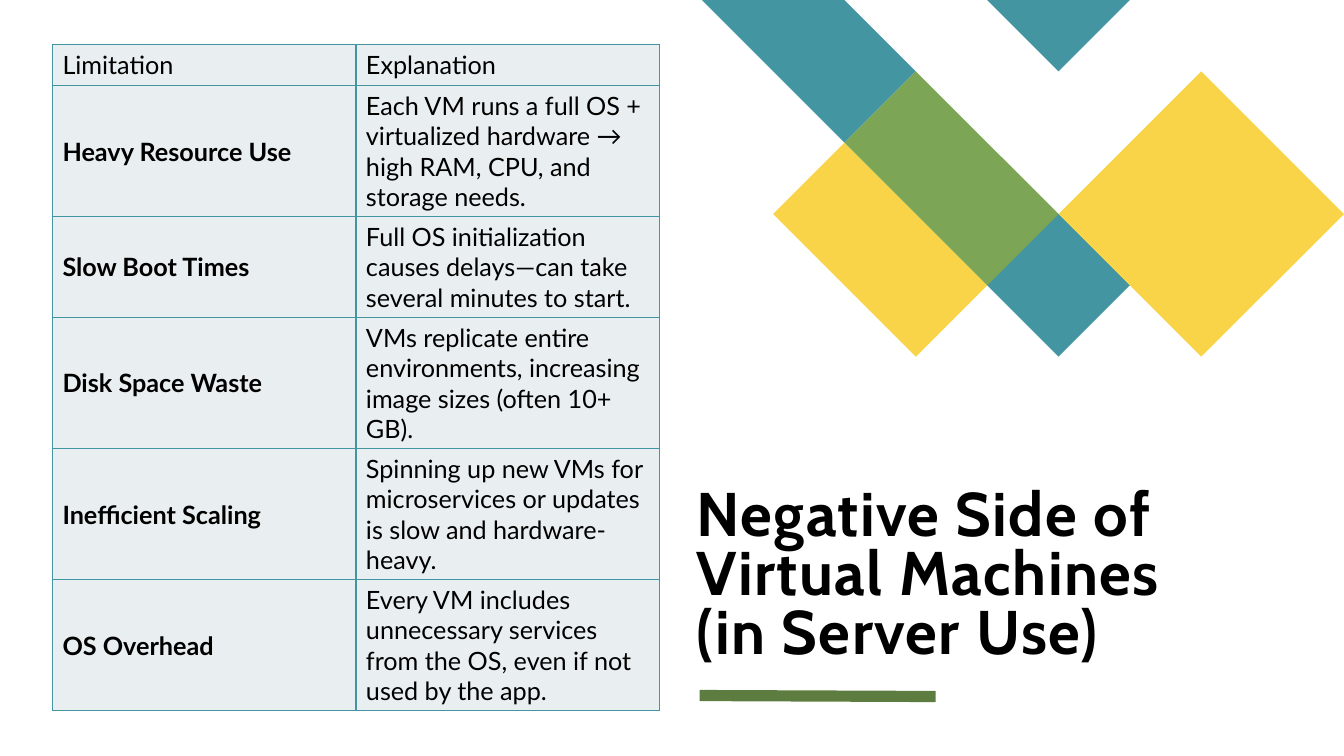
import pptx
import pptx.dml.color
import pptx.enum.shapes
import pptx.enum.text
import pptx.oxml
import pptx.oxml.ns
import pptx.util
from lxml import etree

Inches = pptx.util.Inches
Pt = pptx.util.Pt
RGBColor = pptx.dml.color.RGBColor
ANCHOR = pptx.enum.text.MSO_ANCHOR
qn = pptx.oxml.ns.qn

TEAL = RGBColor(0x44, 0x95, 0xA2)
YELLOW = RGBColor(0xF9, 0xD4, 0x48)
LEAF = RGBColor(0x7C, 0xA6, 0x55)
MOSS = RGBColor(0x5D, 0x7D, 0x40)
MIST = RGBColor(0xE9, 0xEF, 0xF0)
BLACK = RGBColor(0, 0, 0)

# Tile corners as (column, row) on the diagonal grid
GRID_LEFT = Inches(6.96)
GRID_STEP = Inches(6.37) / 9
TILES = [
    (TEAL, [(3, 1), (2, 0), (0, 0), (2, 2)]),
    (TEAL, [(6, 4), (5, 3), (4, 4), (5, 5)]),
    (YELLOW, [(2, 2), (1, 3), (3, 5), (4, 4)]),
    (TEAL, [(6, 0), (4, 0), (5, 1)]),
    (LEAF, [(3, 1), (2, 2), (4, 4), (5, 3)]),
    (YELLOW, [(9, 3), (7, 1), (5, 3), (7, 5)]),
]

# Row height in inches, limitation, explanation
LIMITATIONS = [
    (0.41, "Limitation", "Explanation"),
    (1.3, "Heavy Resource Use",
     "Each VM runs a full OS + virtualized hardware → high RAM, CPU, and storage needs."),
    (1, "Slow Boot Times",
     "Full OS initialization causes delays—can take several minutes to start."),
    (1.3, "Disk Space Waste",
     "VMs replicate entire environments, increasing image sizes (often 10+ GB)."),
    (1.3, "Inefficient Scaling",
     "Spinning up new VMs for microservices or updates is slow and hardware-heavy."),
    (1.3, "OS Overhead",
     "Every VM includes unnecessary services from the OS, even if not used by the app."),
]


def format_font(font, name, size, bold):
    font.name = name
    font.size = Pt(size)
    font.bold = bold
    font.color.rgb = BLACK


def add_tile(slide, color, corners):
    points = [(GRID_LEFT + column * GRID_STEP, row * GRID_STEP)
              for column, row in corners]
    builder = slide.shapes.build_freeform(*points[0])
    builder.add_line_segments(points[1:], close=True)
    tile = builder.convert_to_shape()
    tile.shadow.inherit = False
    tile.fill.solid()
    tile.fill.fore_color.rgb = color
    tile.line.fill.background()


def add_underline(slide):
    underline = slide.shapes.add_connector(
        pptx.enum.shapes.MSO_CONNECTOR.STRAIGHT,
        Inches(6.94), Inches(6.9), Inches(9.28), Inches(6.91))
    underline.line.color.rgb = MOSS
    underline.line.width = Pt(8)
    etree.SubElement(underline._element.spPr, qn("a:effectLst"))


def set_title(slide, text):
    title = slide.shapes.title
    title.left, title.top = Inches(6.91), Inches(3.83)
    title.width, title.height = Inches(5.4), Inches(2.78)
    frame = title.text_frame
    frame.text = text
    frame.word_wrap = True
    frame.auto_size = pptx.enum.text.MSO_AUTO_SIZE.NONE
    frame.vertical_anchor = ANCHOR.BOTTOM
    frame.margin_left = frame.margin_top = frame.margin_right = frame.margin_bottom = 0
    paragraph = frame.paragraphs[0]
    paragraph.alignment = pptx.enum.text.PP_ALIGN.LEFT
    paragraph.line_spacing = 0.8
    run = paragraph.runs[0]
    format_font(run.font, "Cabin", 44, True)
    run._r.get_or_add_rPr().set("spc", "100")


def set_borders(cell):
    """Draw a thin teal line on all four sides; call before the cell is filled."""
    properties = cell._tc.get_or_add_tcPr()
    for side in ("lnL", "lnR", "lnT", "lnB"):
        border = etree.SubElement(properties, qn(f"a:{side}"), w=str(Pt(1)))
        fill = etree.SubElement(border, qn("a:solidFill"))
        etree.SubElement(fill, qn("a:srgbClr"), val=str(TEAL))


def fill_cell(cell, text, bold):
    set_borders(cell)
    cell.fill.solid()
    cell.fill.fore_color.rgb = MIST
    cell.vertical_anchor = ANCHOR.MIDDLE
    cell.text_frame.text = text
    format_font(cell.text_frame.paragraphs[0].runs[0].font, "Lato", 18, bold)


def add_limitations_table(slide):
    frame = slide.shapes.add_table(
        len(LIMITATIONS), 2, Inches(0.52), Inches(0.44), Inches(6.02), Inches(6.61))
    table = frame.table
    table.first_row = False
    table.horz_banding = False
    for index, (height, limitation, explanation) in enumerate(LIMITATIONS):
        table.rows[index].height = Inches(height)
        fill_cell(table.cell(index, 0), limitation, index > 0)
        fill_cell(table.cell(index, 1), explanation, False)


def main():
    presentation = pptx.Presentation()
    presentation.slide_width = Inches(13.33)
    presentation.slide_height = Inches(7.5)
    title_only = presentation.slide_layouts[5]
    slide = presentation.slides.add_slide(title_only)
    for color, corners in TILES:
        add_tile(slide, color, corners)
    add_underline(slide)
    set_title(slide, "Negative Side of Virtual Machines (in Server Use)")
    add_limitations_table(slide)
    presentation.save("out.pptx")


if __name__ == "__main__":
    main()
